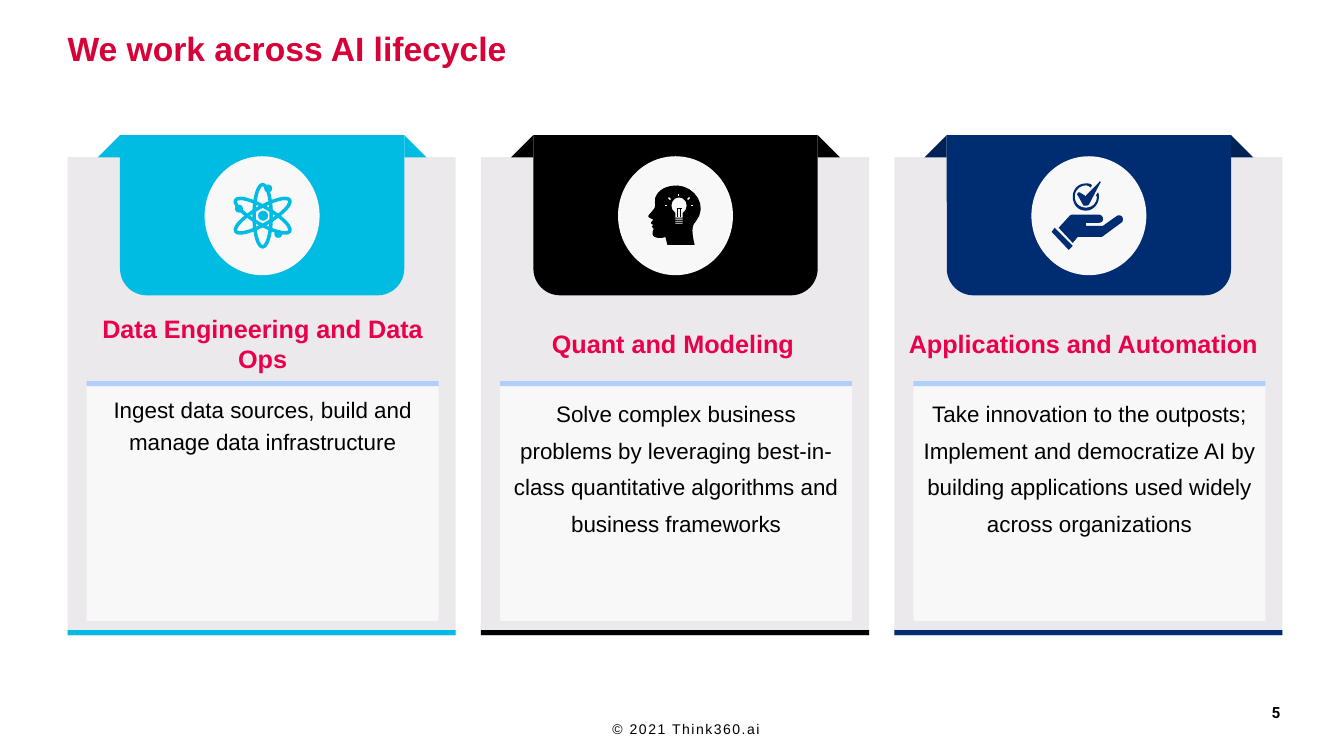
from dataclasses import dataclass
from typing import Any, NamedTuple, Optional

import pptx
import pptx.dml.color
import pptx.enum.shapes
import pptx.enum.text
import pptx.oxml.ns
import pptx.oxml.xmlchemy
import pptx.util
import lxml.etree

PX = 9144  # EMU per px, 100 px to the inch
CARD_PITCH = 410
HEADING_PITCH = 407
CURVE_STEPS = 8

COLORS = {
    "title": "D70038", "heading": "E9004B", "text": "000000",
    "card": "EBE9EC", "panel": "F8F8F8", "rule": "B0CFFF",
    "cyan": "00BCE3", "black": "000000", "navy": "002D72", "navy_fold": "002256",
}
SHAPE = pptx.enum.shapes.MSO_SHAPE
ALIGN = pptx.enum.text.PP_ALIGN
ANCHOR = pptx.enum.text.MSO_ANCHOR

Outline = list[tuple[int, ...]]  # 2 numbers: a line; 6 numbers: a cubic curve


class Box(NamedTuple):
    left: int
    top: int
    width: int
    height: int


class Style(NamedTuple):
    size: int
    color: str
    bold: bool = False
    align: Any = ALIGN.CENTER
    anchor: Any = ANCHOR.MIDDLE
    insets: tuple[int, int] = (10, 10)  # left, right
    font: str = "Arial"
    tracking: int = 0
    leading: Any = None


@dataclass
class Card:
    heading: str
    body: str
    color: str
    fold: str
    leading: Any


CARDS = [
    Card("Data Engineering and Data Ops",
         "Ingest data sources, build and manage data infrastructure",
         "cyan", "cyan", 1.2),
    Card("Quant and Modeling",
         "Solve complex business problems by leveraging best-in-class "
         "quantitative algorithms and business frameworks",
         "black", "black", pptx.util.Pt(26)),
    Card("Applications and Automation",
         "Take innovation to the outposts; Implement and democratize AI by "
         "building applications used widely across organizations",
         "navy", "navy_fold", pptx.util.Pt(26)),
]

HEAD: Outline = [
    (672, 184), (661, 184, 653, 188, 650, 196), (649, 203, 651, 205, 648, 208),
    (646, 211, 643, 213, 643, 215), (644, 216, 646, 217, 648, 218),
    (647, 219, 645, 221, 646, 222), (648, 223), (648, 224, 646, 224, 647, 225),
    (647, 226, 649, 227, 648, 228), (647, 230, 647, 233, 648, 234),
    (650, 236, 655, 237, 660, 235), (662, 243), (689, 243),
    (686, 230, 686, 224, 690, 220), (703, 204, 689, 185, 672, 184)]
HAND: Outline = [
    (1112, 221), (1093, 235), (1069, 235), (1064, 241), (1050, 226), (1061, 214),
    (1062, 213, 1063, 213, 1064, 213), (1090, 213),
    (1092, 213, 1094, 215, 1094, 217), (1094, 220, 1092, 221, 1090, 221),
    (1078, 221), (1077, 221, 1077, 222, 1077, 223),
    (1077, 224, 1077, 224, 1078, 224), (1093, 224), (1094, 224), (1108, 214),
    (1110, 213, 1112, 214, 1113, 215), (1114, 217, 1114, 220, 1112, 221)]
CUFF: Outline = [(1064, 244), (1046, 226), (1043, 230), (1060, 248)]
RING: Outline = [
    (1087, 194), (1088, 195), (1088, 202, 1083, 206, 1077, 206),
    (1071, 206, 1066, 202, 1066, 195), (1066, 189, 1071, 184, 1077, 184),
    (1079, 184, 1080, 185, 1082, 186), (1083, 184),
    (1082, 182, 1079, 182, 1077, 182), (1069, 182, 1064, 188, 1064, 195),
    (1064, 203, 1069, 209, 1077, 209), (1084, 209, 1090, 203, 1090, 195),
    (1090, 194, 1090, 192, 1089, 191)]
CHECK: Outline = [
    (1069, 192), (1068, 192, 1068, 193, 1069, 194), (1074, 203),
    (1074, 204, 1075, 204, 1076, 204), (1078, 204),
    (1078, 204, 1079, 204, 1080, 203), (1091, 182),
    (1092, 181, 1092, 181, 1091, 180), (1091, 180, 1090, 180, 1090, 181),
    (1077, 194), (1077, 195, 1076, 195, 1076, 194), (1071, 191),
    (1071, 191, 1070, 191, 1069, 191)]
RAYS = [(673, 192, 673, 194), (660, 204, 662, 204), (685, 204, 687, 204),
        (684, 196, 682, 198), (663, 196, 665, 198)]
FILAMENT = [(672, 207, 672, 215), (675, 207, 675, 215), (671, 207, 676, 207)]


def rgb(name: str) -> Any:
    return pptx.dml.color.RGBColor.from_string(COLORS[name])


def paint(sp: Any, color: str) -> None:
    sp.shadow.inherit = False
    sp.fill.solid()
    sp.fill.fore_color.rgb = rgb(color)
    sp.line.fill.background()


def add_box(s: Any, kind: Any, box: Box, color: str) -> Any:
    sp = s.shapes.add_shape(kind, *(v * PX for v in box))
    paint(sp, color)
    return sp


def write(sp: Any, text: str, style: Style) -> None:
    tf = sp.text_frame
    tf.word_wrap = True
    tf.vertical_anchor = style.anchor
    tf.margin_left, tf.margin_right = (v * PX for v in style.insets)
    p = tf.paragraphs[0]
    p.alignment = style.align
    if style.leading is not None:
        p.line_spacing = style.leading
    r = p.add_run()
    r.text = text
    r.font.name, r.font.size = style.font, pptx.util.Pt(style.size)
    r.font.bold = style.bold
    r.font.color.rgb = rgb(style.color)
    if style.tracking:
        r._r.get_or_add_rPr().set("spc", str(style.tracking))


def add_text(s: Any, box: Box, text: str, style: Style) -> None:
    write(s.shapes.add_textbox(*(v * PX for v in box)), text, style)


def add_outline(s: Any, outline: Outline, color: str) -> None:
    points: list[tuple[float, float]] = [(outline[0][0], outline[0][1])]
    for step in outline[1:]:
        if len(step) == 2:
            points.append((step[0], step[1]))
            continue
        knots = [points[-1], step[:2], step[2:4], step[4:]]
        for i in range(1, CURVE_STEPS + 1):
            t = i / CURVE_STEPS
            weights = ((1 - t) ** 3, 3 * t * (1 - t) ** 2, 3 * t * t * (1 - t), t ** 3)
            points.append((sum(w * k[0] for w, k in zip(weights, knots)),
                           sum(w * k[1] for w, k in zip(weights, knots))))
    scaled = [(x * PX, y * PX) for x, y in points]
    builder = s.shapes.build_freeform(*scaled[0], scale=1.0)
    builder.add_line_segments(scaled[1:], close=True)
    paint(builder.convert_to_shape(), color)


def add_line(s: Any, ends: tuple[int, ...], color: str, width: float) -> None:
    line = s.shapes.add_connector(pptx.enum.shapes.MSO_CONNECTOR.STRAIGHT,
                                  *(v * PX for v in ends))
    line.line.color.rgb = rgb(color)
    line.line.width = pptx.util.Pt(width)
    lxml.etree.SubElement(line._element.spPr, pptx.oxml.ns.qn("a:effectLst"))


def add_card(s: Any, card: Card, index: int) -> None:
    x = 67 + index * CARD_PITCH
    add_box(s, SHAPE.RECTANGLE, Box(x, 156, 385, 475), "card")
    # Ribbon with folded corners
    add_box(s, SHAPE.ROUND_2_SAME_RECTANGLE, Box(x + 52, 134, 282, 159), card.color).rotation = 180
    fold = add_box(s, SHAPE.RIGHT_TRIANGLE, Box(x + 30, 134, 22, 22), card.fold)
    fold._element.spPr.get_or_add_xfrm().set("flipH", "1")
    add_box(s, SHAPE.RIGHT_TRIANGLE, Box(x + 334, 134, 22, 22), card.fold)
    add_box(s, SHAPE.OVAL, Box(x + 136, 155, 114, 118), "panel")
    # Heading, panel and rules
    add_text(s, Box(86 + index * HEADING_PITCH, 306, 349, 69), card.heading,
             Style(18, "heading", True, insets=(0, 0)))
    panel = add_box(s, SHAPE.RECTANGLE, Box(x + 19, 383, 349, 233), "panel")
    write(panel, card.body, Style(16, "text", anchor=ANCHOR.TOP, leading=card.leading))
    add_box(s, SHAPE.RECTANGLE, Box(x + 19, 378, 349, 5), "rule")
    add_box(s, SHAPE.RECTANGLE, Box(x, 625, 385, 5), card.color)


def add_atom(s: Any) -> None:
    for angle in (0, 60, 120):
        orbit = add_box(s, SHAPE.OVAL, Box(252, 183, 17, 62), "cyan")
        orbit.fill.background()
        orbit.line.color.rgb = rgb("cyan")
        orbit.line.width = pptx.util.Pt(2.5)
        orbit.rotation = angle
    for x, y, radius in ((261, 214, 5), (266, 187, 4), (237, 207, 4), (276, 232, 4)):
        add_box(s, SHAPE.OVAL, Box(x - radius, y - radius, 2 * radius, 2 * radius), "cyan")


def add_idea_head(s: Any) -> None:
    add_outline(s, HEAD, "black")
    add_box(s, SHAPE.OVAL, Box(666, 196, 15, 16), "panel")
    add_box(s, SHAPE.RECTANGLE, Box(670, 209, 7, 7), "panel")
    for y in (217, 219, 221):
        add_box(s, SHAPE.RECTANGLE, Box(670, y, 7, 1), "panel")
    for ray in RAYS:
        add_line(s, ray, "panel", 1)
    for wire in FILAMENT:
        add_line(s, wire, "black", 0.5)


def main() -> None:
    prs = pptx.Presentation()
    prs.slide_width, prs.slide_height = 1333 * PX, 750 * PX
    s = prs.slides.add_slide(prs.slide_layouts[6])
    # Title and footer
    add_text(s, Box(67, 0, 1203, 96), "We work across AI lifecycle",
             Style(24, "title", True, ALIGN.LEFT, insets=(0, 0)))
    add_text(s, Box(544, 704, 273, 38), "© 2021 Think360.ai", Style(10, "text", tracking=110))
    add_text(s, Box(1166, 695, 104, 24), "5",
             Style(11, "text", True, ALIGN.RIGHT, insets=(10, 0), font="Roboto"))
    # Cards and icons
    for index, card in enumerate(CARDS):
        add_card(s, card, index)
    add_atom(s)
    add_idea_head(s)
    for outline in (HAND, CUFF, RING, CHECK):
        add_outline(s, outline, "navy")
    prs.save("out.pptx")


if __name__ == "__main__":
    main()
